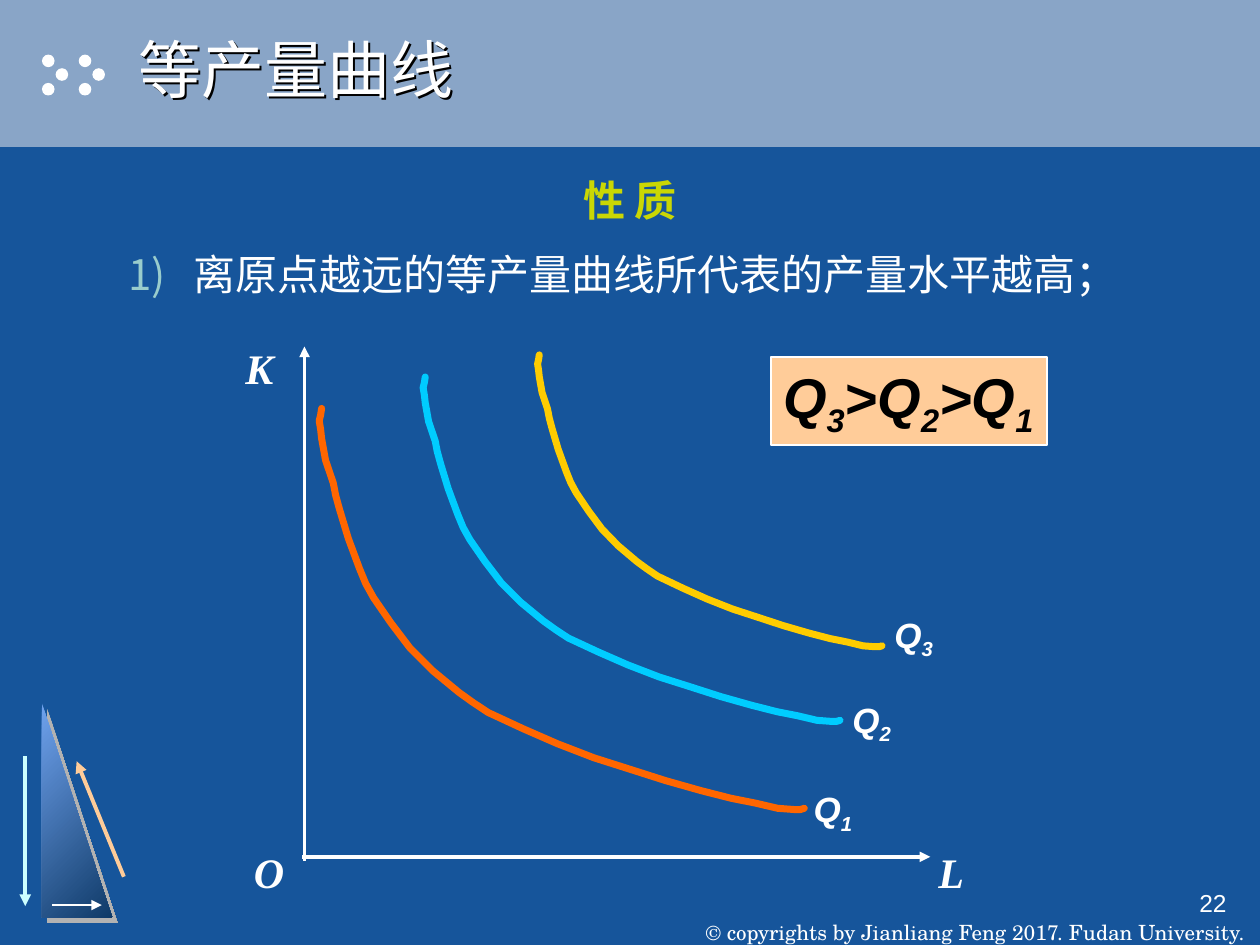
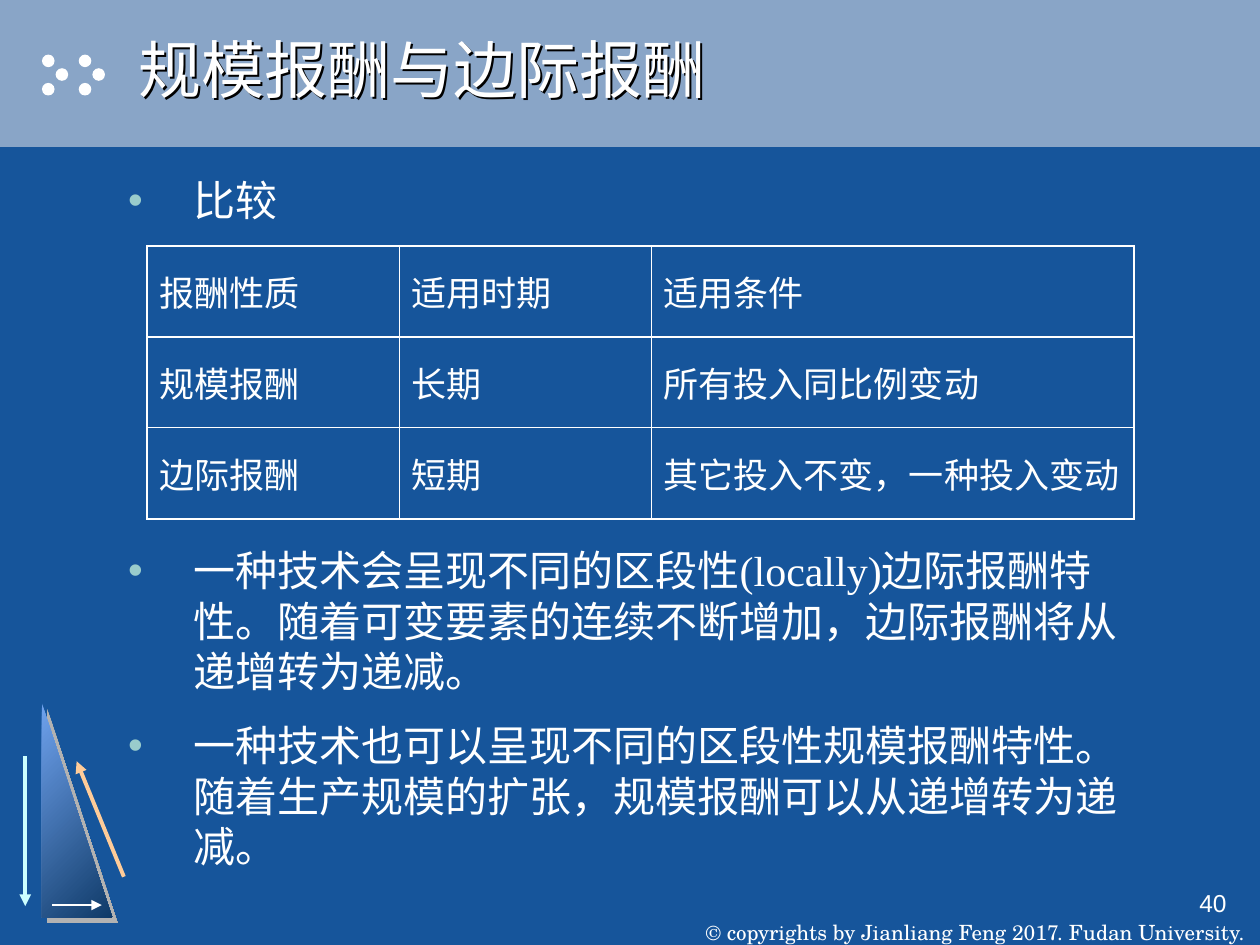
from lxml.etree import SubElement
from pptx import Presentation
from pptx.dml.color import RGBColor
from pptx.enum.shapes import MSO_CONNECTOR, MSO_SHAPE
from pptx.enum.text import MSO_ANCHOR, MSO_AUTO_SIZE, PP_ALIGN
from pptx.oxml import parse_xml
from pptx.oxml.ns import nsdecls, qn
from pptx.util import Emu, Inches, Pt

WHITE = RGBColor(0xFF, 0xFF, 0xFF)
BLACK = RGBColor(0, 0, 0)
GREY = RGBColor(0xB2, 0xB2, 0xB2)
BLUE = RGBColor(0x16, 0x55, 0x9B)
BAND = RGBColor(0x89, 0xA5, 0xC7)
SKY = RGBColor(0x6F, 0xA2, 0xED)
NAVY = RGBColor(0x0F, 0x3A, 0x68)
ICE = RGBColor(0xCC, 0xFF, 0xFF)
PEACH = RGBColor(0xFF, 0xCC, 0x99)
TEAL = RGBColor(0x99, 0xCC, 0xCC)
LIME = RGBColor(0xCA, 0xD7, 0x04)
CYAN = RGBColor(0x00, 0xCC, 0xFF)
GOLD = RGBColor(0xFF, 0xCC, 0x00)
ORANGE = RGBColor(0xFF, 0x66, 0x00)

SANS, SERIF, BOOK = "Arial", "Times New Roman", "TeX Gyre Schola"
WIDE, HIGH = Inches(10), Inches(7.5)
COLS = 120
NUMBER = '<a:buAutoNum %s type="arabicParenR"/>' % nsdecls("a")
DOT = '<a:buChar %s char="•"/>' % nsdecls("a")

CURVE = [
    (0.5, 0), (0.3, 1.6), (0, 3.1), (0.3, 5.3), (0.5, 7.5), (1.3, 12.9),
    (2.9, 18.6), (3.4, 21.7), (4.2, 25.2), (6, 32.4), (8.3, 39.9),
    (9.6, 43.7), (11.2, 47.2), (14.8, 53.5), (18.7, 59.7), (23.4, 65.4),
    (28.8, 70.8), (31.7, 73.3), (34.8, 75.8), (42.1, 79.9), (49.1, 83.6),
    (56.6, 87.1), (63.9, 89.9), (71.4, 92.8), (78.7, 95.3), (84.9, 97.2),
    (89.9, 98.4), (94.5, 99.7), (97.9, 100), (99.2, 100), (100, 99.7),
]


def grid(*cells):
    """Turn counts of grid cells into lengths."""
    return [Emu(round(cell * WIDE / COLS)) for cell in cells]


def write(para, text, size=24, font=SERIF, color=WHITE, bold=False,
          slant=False, align=PP_ALIGN.LEFT, before=0):
    """Write text in a paragraph; every second part between bars is a subscript."""
    para.alignment = align
    para.space_before = Pt(before)
    for i, part in enumerate(text.split("|")):
        if not part:
            continue
        run = para.add_run()
        run.text = part
        face = run.font
        face.size, face.name = Pt(size), font
        face.bold, face.italic = bold, slant
        face.color.rgb = color
        if i % 2:
            run._r.get_or_add_rPr().set("baseline", "-25000")


def label(slide, box, text, anchor=MSO_ANCHOR.TOP, **form):
    """Add a text box."""
    frame = slide.shapes.add_textbox(*grid(*box)).text_frame
    frame.word_wrap = True
    frame.vertical_anchor = anchor
    write(frame.paragraphs[0], text, **form)
    return frame


def shape(slide, kind, box, fill):
    """Add a plain filled shape."""
    item = slide.shapes.add_shape(kind, *grid(*box))
    item.shadow.inherit = False
    item.line.fill.background()
    item.fill.solid()
    item.fill.fore_color.rgb = fill
    return item


def arrow(slide, start, end, color, width):
    """Add a straight arrow."""
    item = slide.shapes.add_connector(
        MSO_CONNECTOR.STRAIGHT, *grid(*start, *end))
    item.line.color.rgb = color
    item.line.width = Pt(width)
    SubElement(item.line._get_or_add_ln(), qn("a:tailEnd"), type="triangle")
    SubElement(item._element.spPr, qn("a:effectLst"))


def shade(item, color, dist):
    """Give a shape a sharp shadow to the lower right."""
    item.shadow.inherit = False
    glow = item._element.spPr.find(qn("a:effectLst"))
    cast = SubElement(glow, qn("a:outerShdw"), dist=str(Pt(dist)),
                      dir="2700000", algn="ctr", rotWithShape="0")
    SubElement(cast, qn("a:srgbClr"), val=str(color))


def wedge(slide):
    """Add the slope triangle with its three arrows."""
    item = shape(slide, MSO_SHAPE.RIGHT_TRIANGLE, (4, 67, 6.7, 20.4), SKY)
    item.fill.gradient()
    item.fill.gradient_angle = 315
    for stop, color in zip(item.fill.gradient_stops, (SKY, NAVY)):
        stop.color.rgb = color
    shade(item, GREY, 4.2)
    arrow(slide, (2.4, 72), (2.4, 86.3), ICE, 2.25)
    arrow(slide, (11.8, 83.5), (7.3, 72.5), PEACH, 2.25)
    arrow(slide, (5, 86.2), (9.7, 86.2), WHITE, 1.5)


def place(holder, box):
    """Move a placeholder and fix its text size."""
    holder.left, holder.top, holder.width, holder.height = grid(*box)
    frame = holder.text_frame
    frame.auto_size = MSO_AUTO_SIZE.NONE
    frame.word_wrap = True
    return frame


def base(deck, title, number):
    """Add a slide with the shared band, title, wedge and footer."""
    slide = deck.slides.add_slide(deck.slide_layouts[1])
    shape(slide, MSO_SHAPE.RECTANGLE, (0, 0, COLS, 14), BAND)
    for left in (4, 7.5):
        for shift, top in ((0, 5.2), (1.3, 6.5), (0, 7.9)):
            shape(slide, MSO_SHAPE.OVAL, (left + shift, top, 1.2, 1.2), WHITE)
    wedge(slide)
    foot = label(slide, (65.4, 84, 55, 6),
                 "© copyrights by Jianliang Feng 2017. Fudan University.",
                 MSO_ANCHOR.BOTTOM, size=12, font=BOOK,
                 align=PP_ALIGN.CENTER)
    foot.margin_left = foot.margin_right = 0
    foot.margin_top = foot.margin_bottom = 0
    label(slide, (93, 84, 25, 6), number, size=14, font=SANS,
          align=PP_ALIGN.RIGHT)
    head = slide.shapes.title
    slide.shapes._spTree.append(head._element)
    frame = place(head, (12, 0, 108, 13))
    frame.vertical_anchor = MSO_ANCHOR.MIDDLE
    write(frame.paragraphs[0], title, size=36, font=SANS)
    shade(head, BLACK, 1.5)
    return slide


def points(slide, box, items):
    """Fill the body with (text, mark, format) items."""
    frame = place(slide.placeholders[1], box)
    for i, (text, mark, form) in enumerate(items):
        para = frame.add_paragraph() if i else frame.paragraphs[0]
        props = para._p.get_or_add_pPr()
        props.set("marL", str(Inches(0.52)))
        props.set("indent", str(-Inches(0.52)))
        if mark:
            tint = SubElement(props, qn("a:buClr"))
            SubElement(tint, qn("a:srgbClr"), val=str(TEAL))
            props.append(parse_xml(mark))
        else:
            SubElement(props, qn("a:buNone"))
        write(para, text, **form)


def curve(slide, box, color):
    """Draw the isoquant outline scaled into a box."""
    left, top, width, height = box
    spots = [grid(left + x * width / 100, top + y * height / 100)
             for x, y in CURVE]
    pen = slide.shapes.build_freeform(*spots[0])
    pen.add_line_segments(spots[1:], close=False)
    item = pen.convert_to_shape()
    item.shadow.inherit = False
    item.fill.background()
    item.line.color.rgb = color
    item.line.width = Pt(4)
    item.line._get_or_add_ln().set("cap", "rnd")


def chart(slide):
    """Draw the axes, the three isoquants and their ranking."""
    bold = dict(bold=True, slant=True)
    for name, box, spot, color in (
            ("Q|2", (40.3, 35.9, 39.7, 32.8), (80, 65.9), CYAN),
            ("Q|3", (51.2, 33.8, 32.8, 27.8), (84, 57.8), GOLD),
            ("Q|1", (30.4, 38.9, 46.2, 38.2), (76.3, 74.4), ORANGE)):
        curve(slide, box, color)
        label(slide, (*spot, 8, 5.8), name, size=20, font=SANS, **bold)
    arrow(slide, (29, 82), (29, 33), WHITE, 2)
    arrow(slide, (28.8, 81.6), (88.6, 81.6), WHITE, 2)
    for name, left, top in (("K", 22.2, 32), ("L", 88.2, 80), ("O", 23, 80)):
        label(slide, (left, top, 6, 6), name, **bold)
    rank = shape(slide, MSO_SHAPE.RECTANGLE, (73.4, 34, 26.3, 8.4), PEACH)
    rank.line.color.rgb = WHITE
    rank.line.width = Pt(1)
    rank.text_frame.word_wrap = False
    write(rank.text_frame.paragraphs[0], "Q|3|>Q|2|>Q|1", size=32,
          font=SANS, color=BLACK, **bold)


def edge(cell, sides):
    """Set the border widths of a cell, given by side."""
    props = cell._tc.get_or_add_tcPr()
    for i, (side, width) in enumerate(sides.items()):
        props.insert(i, parse_xml(
            '<a:ln%s %s w="%d"><a:solidFill><a:srgbClr val="%s"/></a:solidFill>'
            '</a:ln%s>' % (side, nsdecls("a"), Pt(width), WHITE, side)))


def table(slide, spot, cols, tall, rows):
    """Add a ruled table with a heavy frame and header line."""
    size = (sum(cols), tall * len(rows))
    grate = slide.shapes.add_table(
        len(rows), len(cols), *grid(*spot, *size)).table
    grate.first_row = grate.horz_banding = False
    for col, width in zip(grate.columns, grid(*cols)):
        col.width = width
    thick, thin = 1.08, 0.45
    for r, row in enumerate(rows):
        for c, text in enumerate(row):
            cell = grate.cell(r, c)
            cell.vertical_anchor = MSO_ANCHOR.MIDDLE
            cell.fill.background()
            write(cell.text_frame.paragraphs[0], text, size=20)
            edge(cell, {
                "L": thin if c else thick,
                "R": thick if c == len(cols) - 1 else thin,
                "T": thick if r < 2 else thin,
                "B": thick if r in (0, len(rows) - 1) else thin})


def main():
    """Build and save both slides."""
    deck = Presentation()
    deck.slide_width, deck.slide_height = WIDE, HIGH
    fill = deck.slide_master.background.fill
    fill.solid()
    fill.fore_color.rgb = BLUE

    slide = base(deck, "等产量曲线", "22")
    points(slide, (11, 16, 98, 60), [
        ("性 质", None, dict(color=LIME, bold=True, align=PP_ALIGN.CENTER)),
        ("离原点越远的等产量曲线所代表的产量水平越高；", NUMBER,
         dict(before=13.5))])
    chart(slide)

    slide = base(deck, "规模报酬与边际报酬", "40")
    points(slide, (11, 16, 98, 67.5), [
        ("比较", DOT, {}),
        ("一种技术会呈现不同的区段性(locally)边际报酬特性。随着可变要素的连续"
         "不断增加，边际报酬将从递增转为递减。", DOT, dict(before=183)),
        ("一种技术也可以呈现不同的区段性规模报酬特性。随着生产规模的扩张，"
         "规模报酬可以从递增转为递减。", DOT, dict(before=13.5))])
    table(slide, (14, 23.4), (24, 24, 46), 8.67, [
        ("报酬性质", "适用时期", "适用条件"),
        ("规模报酬", "长期", "所有投入同比例变动"),
        ("边际报酬", "短期", "其它投入不变，一种投入变动")])
    deck.save("out.pptx")


if __name__ == "__main__":
    main()
